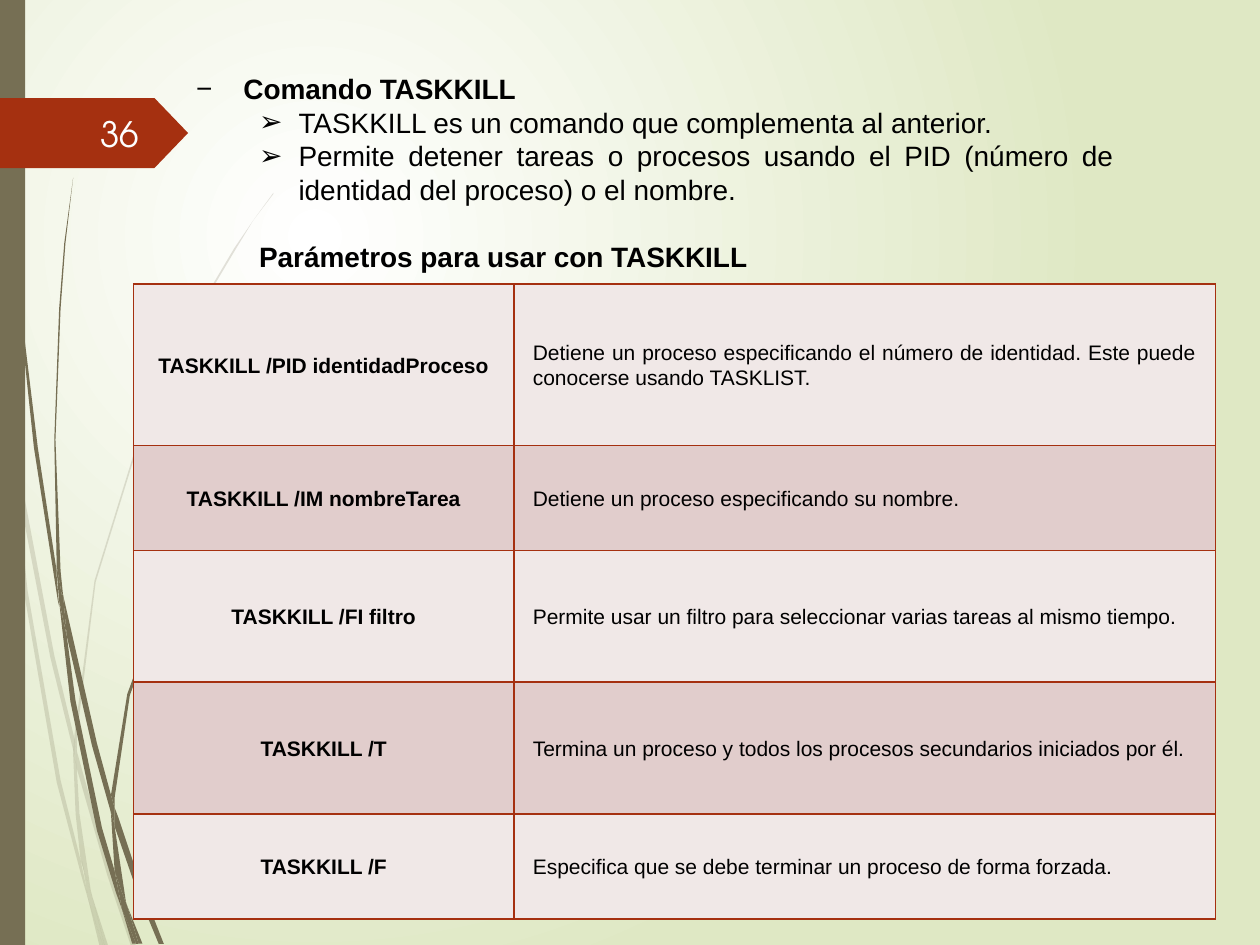
import dataclasses
import typing

import lxml.etree
import pptx
import pptx.dml.color
import pptx.enum.shapes
import pptx.enum.text
import pptx.oxml.ns
import pptx.util

Pt = pptx.util.Pt
RGB = pptx.dml.color.RGBColor
ALIGN = pptx.enum.text.PP_ALIGN
MIDDLE = pptx.enum.text.MSO_ANCHOR.MIDDLE
SHAPE = pptx.enum.shapes.MSO_SHAPE
qn = pptx.oxml.ns.qn

WHITE = RGB(0xFF, 0xFF, 0xFF)
PALE = RGB(0xDF, 0xE8, 0xC4)
OLIVE = RGB(0x76, 0x6F, 0x54)
RUST = RGB(0xA5, 0x30, 0x10)
SNOW = RGB(0xFE, 0xFF, 0xFF)
BLACK = RGB(0, 0, 0)
BANDS = (RGB(0xF0, 0xE8, 0xE7), RGB(0xE1, 0xCD, 0xCC))


@dataclasses.dataclass
class Line:
    text: str
    left: float
    hang: float = 0
    mark: str = ""
    bold: bool = False
    gap: float = 0


@dataclasses.dataclass
class Entry:
    name: str
    note: str
    height: float


# Outlines of the grass blades, as x y pairs in points
FAINT = [
    "5.8 252 4.3 231.8 0 203 0 215.3 5 247.7",
    "28.8 375.8 42.5 431.3 42.5 421.9 31 374.4 7.2 248.4 8.6 270.7",
    "46.1 437 43.9 429.1 43.9 439.2 61.2 499.7 74.9 540.7 77.8 540.7 "
    "63.4 498.2",
    "59.8 540.7 61.9 540.7 52.6 511.9",
    "46.1 491.8 34.6 445.7 15.8 337.7 8.6 270.7 5.8 252 13.7 338.4 "
    "32.4 447.1 46.1 499 50.4 514.1 49.7 509",
    "41.8 431.3 43.2 465.1 46.1 491.8 48.2 498.2 52.6 511.9 51.8 508.3 "
    "45.4 465.1 43.9 439.2 43.9 437.8",
    "43.9 420.5 54.7 332.6 79.9 251.3 114.5 176.4 134.6 142.6 144.7 126 "
    "156.2 110.9 156.2 110.2 144.7 126 133.9 141.8 113.8 175.7 79.2 250.6 "
    "54 331.9 42.5 420.5 42.5 421.9 43.9 429.1",
    "50.4 514.1 56.9 540.7 59 540.7",
    "43.9 437.8 43.9 439.2 43.9 429.1 42.5 421.9 41.8 431.3",
    "48.2 498.2 46.8 491.8 49.7 509 50.4 514.1 59 540.7 59.8 540.7 "
    "52.6 511.9",
]
DARK = [
    "3.6 79.2 10.1 167.8 19.4 255.6 33.1 343.4 33.8 346.3 32.4 329 "
    "32.4 326.2 21.6 255.6 10.8 167 4.3 78.5 2.9 34.6 2.2 0 1.4 0 2.2 34.6",
    "52.6 426.2 63.4 464.4 63.4 454.3 55.4 424.8 36 339.8 38.2 363.6",
    "67.7 467.3 65.5 461.5 65.5 472.3 78.5 509.8 90.7 539.3 93.6 539.3 "
    "81.4 508.3",
    "65.5 497.5 58.3 473 43.2 400.3 38.2 363.6 33.8 343.4 40.3 401 "
    "55.4 474.5 66.2 509.8 69.8 519.8 69.1 516.2",
    "36 339.8 34.6 326.2 31.7 251.3 34.6 176.4 37.4 139 41.8 101.5 "
    "36.7 139 33.8 176.4 31 251.3 32.4 323.3 35.3 339.8",
    "79.2 539.3 81.4 539.3 72.7 517.7",
    "33.8 343.4 38.2 363.6 36 339.8 35.3 339.8 32.4 323.3 32.4 326.2",
    "65.5 455.8 74.2 397.4 94.3 342.7 121.7 292.3 137.5 269.3 146.2 258.5 "
    "155.5 247.7 154.8 247.7 146.2 257.8 137.5 268.6 121 291.6 92.9 341.3 "
    "72.7 396.7 63.4 454.3 65.5 461.5",
    "69.8 519.8 75.6 539.3 77.8 539.3",
    "63.4 464.4 65.5 497.5 69.1 508.3 72.7 517.7 72 515.5 65.5 472.3 "
    "64.8 468.7",
    "63.4 464.4 64.8 468.7 65.5 472.3 65.5 461.5 63.4 454.3 63.4 455.8",
    "69.1 508.3 65.5 497.5 69.1 516.2 69.8 519.8 77.8 539.3 79.2 539.3 "
    "72.7 517.7",
]

LINES = [
    Line("Comando TASKKILL", 27, -27, "−", True),
    Line("TASKKILL es un comando que complementa al anterior.",
         58.5, -22.5, "➢"),
    Line("Permite detener tareas o procesos usando el PID (número de "
         "identidad del proceso) o el nombre.", 58.5, -22.5, "➢"),
    Line("Parámetros para usar con TASKKILL", 36, bold=True, gap=19.2),
]

ENTRIES = [
    Entry("TASKKILL /PID identidadProceso",
          "Detiene un proceso especificando el número de identidad. "
          "Este puede conocerse usando TASKLIST.", 92.2),
    Entry("TASKKILL /IM nombreTarea",
          "Detiene un proceso especificando su nombre.", 60),
    Entry("TASKKILL /FI filtro", "Permite usar un filtro para seleccionar "
          "varias tareas al mismo tiempo.", 75.4),
    Entry("TASKKILL /T", "Termina un proceso y todos los procesos "
          "secundarios iniciados por él.", 75.4),
    Entry("TASKKILL /F", "Especifica que se debe terminar un proceso de "
          "forma forzada.", 59.8),
]


def add(node: typing.Any, tag: str, **attrs: str) -> typing.Any:
    return lxml.etree.SubElement(node, qn(tag), attrs)


def paint(shape: typing.Any, color: RGB, alpha: int = 100) -> None:
    shape.shadow.inherit = False
    shape.line.fill.background()
    shape.fill.solid()
    shape.fill.fore_color.rgb = color
    if alpha < 100:
        tint = shape.fill._xPr.find(".//" + qn("a:srgbClr"))
        add(tint, "a:alpha", val=str(alpha * 1000))


def draw_blade(slide: typing.Any, edge: str, alpha: int) -> None:
    nums = [Pt(float(num)) for num in edge.split()]
    dots = list(zip(nums[::2], nums[1::2]))
    pen = slide.shapes.build_freeform(*dots[0])
    pen.add_line_segments(dots[1:], close=True)
    paint(pen.convert_to_shape(), OLIVE, alpha)


def write(para: typing.Any, text: str, size: float, color: RGB,
          align: typing.Any, bold: bool = False, face: str = "Arial") -> None:
    para.text, para.alignment = text, align
    font = para.font
    font.name, font.size, font.bold = face, Pt(size), bold
    font.color.rgb = color


def draw_line(para: typing.Any, line: Line) -> None:
    write(para, line.text, 16, BLACK, ALIGN.JUSTIFY, line.bold)
    para.space_before = Pt(line.gap)
    props = para._p.get_or_add_pPr()
    props.set("marL", str(Pt(line.left)))
    props.set("indent", str(Pt(line.hang)))
    if line.mark:
        add(props, "a:buFont", typeface="Arial")
        add(props, "a:buChar", char=line.mark)
        props.append(props.find(qn("a:defRPr")))


def draw_cell(cell: typing.Any, text: str, align: typing.Any, bold: bool,
              fill: RGB) -> None:
    para = cell.text_frame.paragraphs[0]
    write(para, text, 12, BLACK, align, bold)
    para.line_spacing = Pt(14.6)
    cell.vertical_anchor = MIDDLE
    cell.margin_left = cell.margin_right = Pt(10.8)
    cell.margin_top = cell.margin_bottom = Pt(10.8)
    props = cell._tc.get_or_add_tcPr()
    for side in "LRTB":
        border = add(props, f"a:ln{side}", w=str(Pt(1)))
        add(add(border, "a:solidFill"), "a:srgbClr", val=str(RUST))
    cell.fill.solid()
    cell.fill.fore_color.rgb = fill
    props.append(props.find(qn("a:solidFill")))


def main() -> None:
    deck = pptx.Presentation()
    deck.slide_width, deck.slide_height = Pt(720), Pt(540)
    slide = deck.slides.add_slide(deck.slide_layouts[6])
    shapes = slide.shapes

    # Radial background
    fill = slide.background.fill
    fill.gradient()
    for stop, color, at in zip(fill.gradient_stops, (WHITE, PALE), (0, 1)):
        stop.color.rgb, stop.position = color, at
    grad = slide.background._cSld.find(".//" + qn("a:gradFill"))
    grad.remove(grad.find(qn("a:lin")))
    add(add(grad, "a:path", path="circle"), "a:fillToRect",
        l="50000", t="50000", r="100000", b="100000")

    # Grass, side bar and page tag
    for blades, alpha in ((FAINT, 20), (DARK, 100)):
        for edge in blades:
            draw_blade(slide, edge, alpha)
    bar = shapes.add_shape(SHAPE.RECTANGLE, 0, 0, Pt(14.4), Pt(540))
    paint(bar, OLIVE)
    tag = shapes.add_shape(SHAPE.PENTAGON, 0, Pt(56), Pt(107.5), Pt(40))
    tag.adjustments[0] = 0.48
    paint(tag, RUST)
    page = shapes.add_textbox(Pt(40), Pt(62), Pt(46.4), Pt(28.8)).text_frame
    page.word_wrap, page.vertical_anchor = True, MIDDLE
    write(page.paragraphs[0], "36", 20, SNOW, ALIGN.RIGHT,
          face="TeX Gyre Adventor")

    # Explanation
    body = shapes.add_textbox(Pt(105), Pt(37.5), Pt(538.5), Pt(124)).text_frame
    body.word_wrap = True
    for i, line in enumerate(LINES):
        draw_line(body.add_paragraph() if i else body.paragraphs[0], line)

    # Parameter table
    high = sum(entry.height for entry in ENTRIES)
    grid = shapes.add_table(len(ENTRIES), 2, Pt(76.3), Pt(162.3),
                            Pt(618.3), Pt(high)).table
    grid.first_row = grid.horz_banding = False
    grid.columns[0].width, grid.columns[1].width = Pt(217.4), Pt(400.9)
    for i, entry in enumerate(ENTRIES):
        grid.rows[i].height = Pt(entry.height)
        band = BANDS[i % 2]
        draw_cell(grid.cell(i, 0), entry.name, ALIGN.CENTER, True, band)
        draw_cell(grid.cell(i, 1), entry.note, ALIGN.JUSTIFY, False, band)

    deck.save("out.pptx")


if __name__ == "__main__":
    main()
